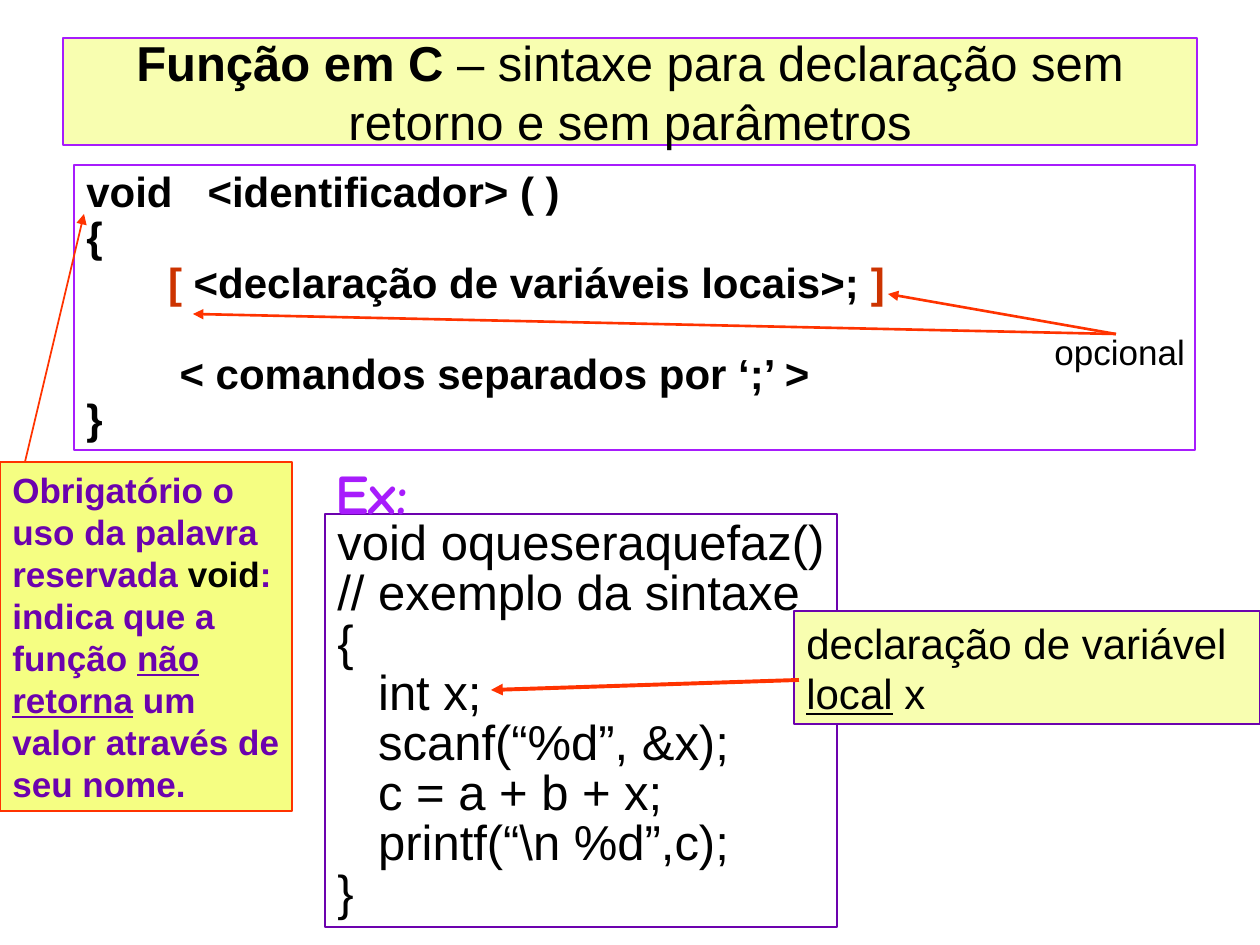
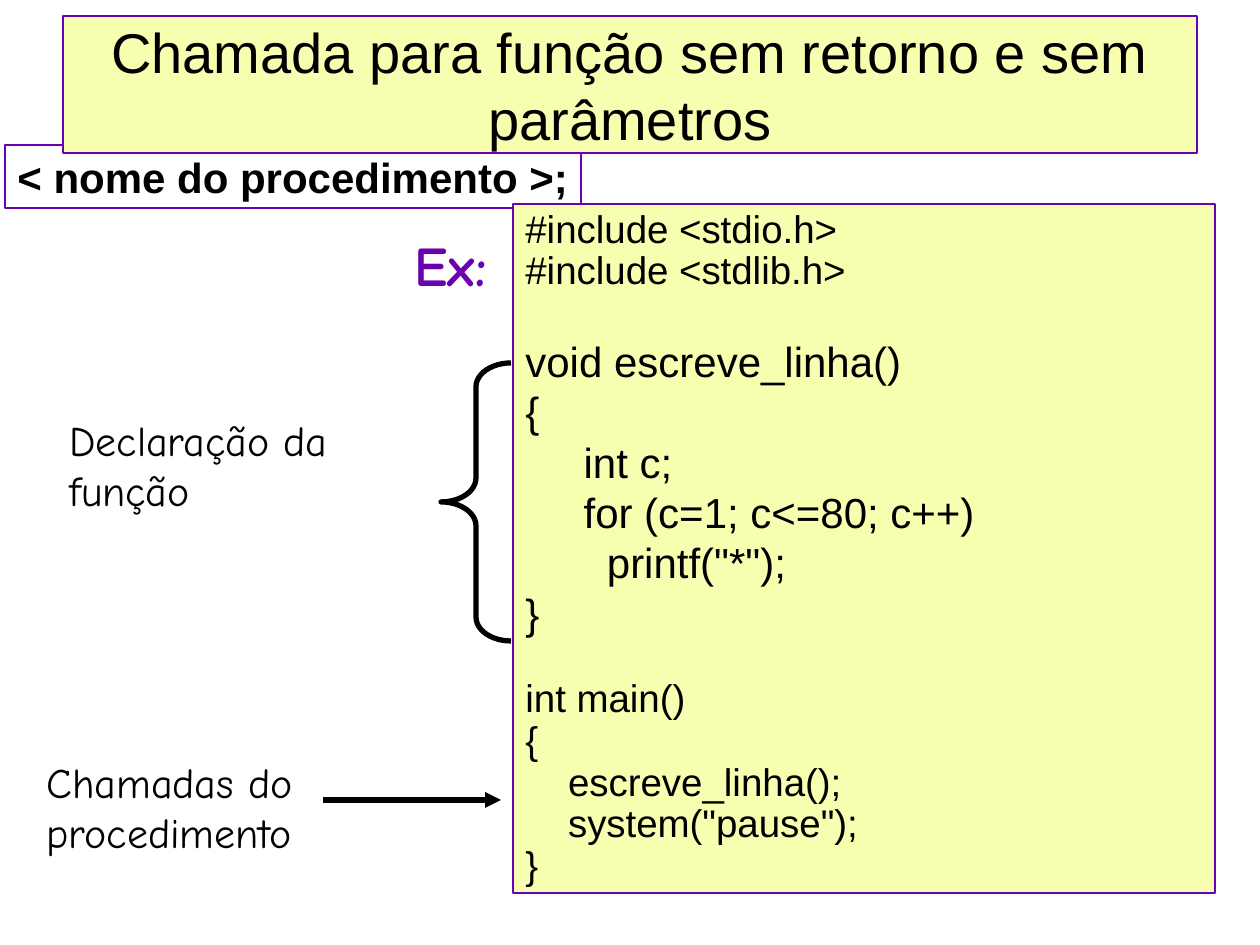
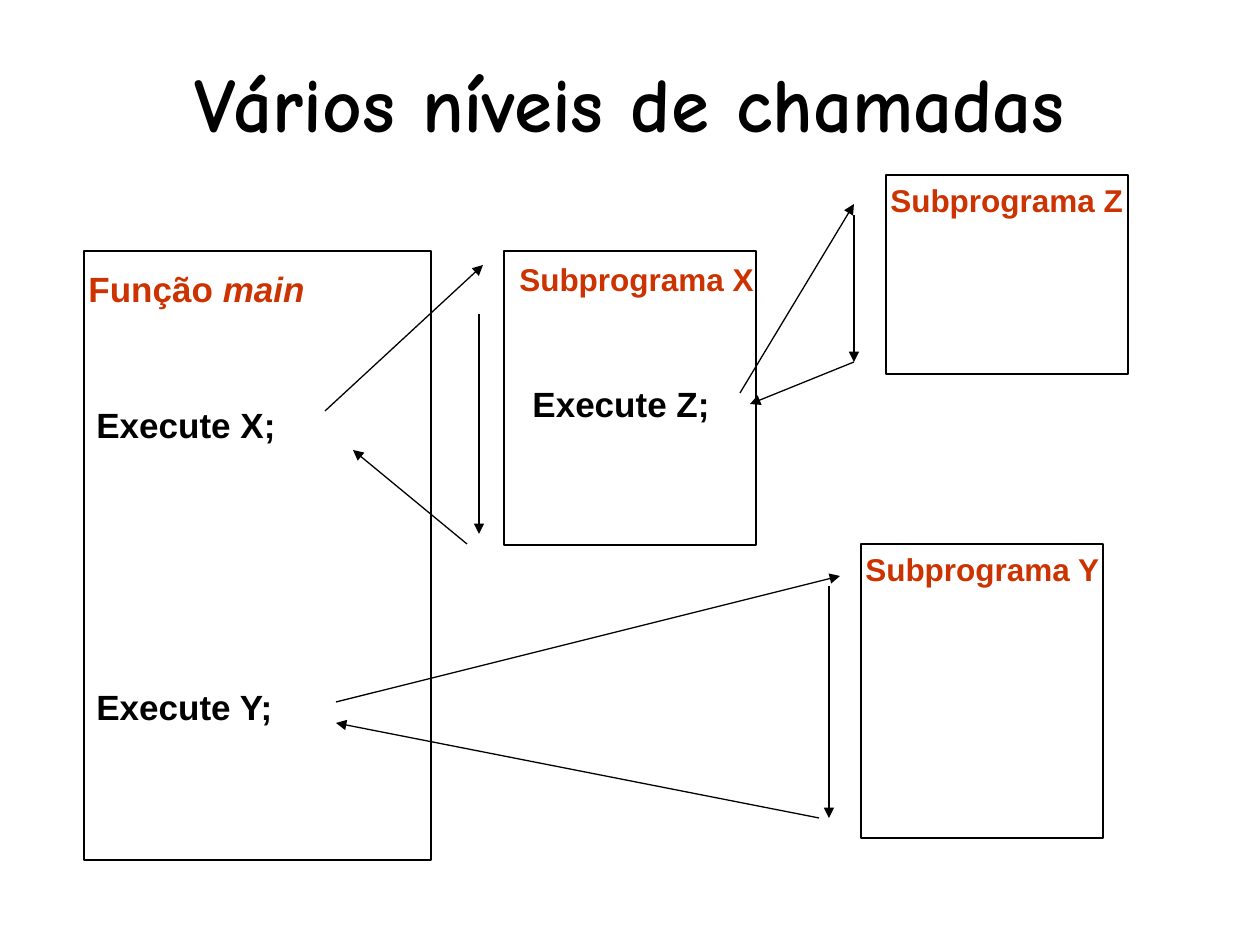
from dataclasses import dataclass
from typing import NamedTuple

from lxml.etree import SubElement
from pptx import Presentation
from pptx.dml.color import RGBColor
from pptx.enum.shapes import MSO_CONNECTOR, MSO_SHAPE
from pptx.enum.text import MSO_ANCHOR, MSO_AUTO_SIZE, PP_ALIGN
from pptx.oxml.ns import qn
from pptx.shapes.base import BaseShape
from pptx.slide import Slide
from pptx.text.text import TextFrame
from pptx.util import Emu, Pt

SCALE = 914400 / 126  # EMU in one px
BLACK, WHITE = "000000", "FFFFFF"
PURPLE, VIOLET = "6C02AE", "A71CFC"
RED, RUST = "FF3300", "CC3300"
CREAM, YELLOW = "F8FEB0", "F5FE82"
SANS, COMIC = "Arial", "Comic Neue"


class Box(NamedTuple):
    x: int
    y: int
    w: int
    h: int


class Run(NamedTuple):
    text: str
    color: str | None = None
    bold: bool | None = None
    italic: bool = False
    under: bool = False


class Arrow(NamedTuple):
    x1: int
    y1: int
    x2: int
    y2: int


@dataclass
class Label:
    box: Box
    runs: list[Run]
    size: int = 20
    color: str = BLACK


Line = str | list[Run]


def px(num: int) -> Emu:
    return Emu(round(num * SCALE))


def rgb(code: str) -> RGBColor:
    return RGBColor.from_string(code)


def write(frame: TextFrame, lines: list[Line], *, size: int = 24,
          font: str = SANS, color: str = BLACK, bold: bool = False,
          align: PP_ALIGN = PP_ALIGN.LEFT, lead: float = 1.0,
          gap: int = 0) -> None:
    """Append lines to the frame, with a gap in points above the first."""
    for num, line in enumerate(lines):
        fresh = not frame.paragraphs[0].runs
        para = frame.paragraphs[0] if fresh else frame.add_paragraph()
        para.alignment, para.line_spacing = align, lead
        if gap and num == 0:
            para.space_before = Pt(gap)
        for item in [Run(line)] if isinstance(line, str) else line:
            run = para.add_run()
            run.text = item.text
            face = run.font
            face.name, face.size = font, Pt(size)
            face.bold = bold if item.bold is None else item.bold
            face.italic, face.underline = item.italic, item.under
            face.color.rgb = rgb(item.color or color)


def text(slide: Slide, box: Box) -> TextFrame:
    return fit(slide.shapes.add_textbox(*map(px, box)).text_frame)


def fit(frame: TextFrame, wrap: bool = True) -> TextFrame:
    frame.word_wrap = wrap
    frame.auto_size = MSO_AUTO_SIZE.SHAPE_TO_FIT_TEXT
    frame.vertical_anchor = MSO_ANCHOR.TOP
    return frame


def panel(slide: Slide, box: Box, fill: str = WHITE,
          edge: str = BLACK) -> BaseShape:
    shape = slide.shapes.add_shape(MSO_SHAPE.RECTANGLE, *map(px, box))
    shape.shadow.inherit = False
    shape.fill.solid()
    shape.fill.fore_color.rgb = rgb(fill)
    shape.line.color.rgb = rgb(edge)
    shape.line.width = Pt(0.75)
    return shape


def title(slide: Slide, box: Box, line: Line, size: int, edge: str) -> None:
    frame = panel(slide, box, CREAM, edge).text_frame
    frame.word_wrap, frame.vertical_anchor = True, MSO_ANCHOR.MIDDLE
    write(frame, [line], size=size, align=PP_ALIGN.CENTER)


def sample(slide: Slide, x: int, y: int, color: str) -> None:
    """Put the "Ex:" mark beside a block of code."""
    frame = text(slide, Box(x, y, 110, 81))
    write(frame, ["Ex:"], size=32, font=COMIC, color=color, bold=True)


def point(slide: Slide, arrow: Arrow, color: str = BLACK,
          width: float = 0.75) -> None:
    link = slide.shapes.add_connector(MSO_CONNECTOR.STRAIGHT, *map(px, arrow))
    link.line.color.rgb = rgb(color)
    link.line.width = Pt(width)
    SubElement(link.line._get_or_add_ln(), qn("a:tailEnd"), type="triangle")
    SubElement(link._element.spPr, qn("a:effectLst"))


def syntax(slide: Slide) -> None:
    rule = fit(panel(slide, Box(74, 165, 1121, 285), edge=VIOLET).text_frame)
    write(rule, [
        "void   <identificador> ( )",
        "{",
        [Run("       "), Run("[", RUST),
         Run(" <declaração de variáveis locais>; "), Run("]", RUST)],
    ], bold=True, lead=0.9)
    write(rule, ["        < comandos separados por ‘;’ >", "}"],
          bold=True, lead=0.9, gap=26)

    code = panel(slide, Box(325, 514, 512, 413), edge=PURPLE)
    write(fit(code.text_frame, wrap=False), [
        "void oqueseraquefaz()",
        "// exemplo da sintaxe",
        "{",
        "   int x;",
        "   scanf(“%d”, &x);",
        "   c = a + b + x;",
        "   printf(“\\n %d”,c);",
        "}",
    ], size=28, lead=0.85)
    sample(slide, 323, 452, VIOLET)
    title(slide, Box(63, 38, 1134, 107), [
        Run("Função em C", bold=True),
        Run(" – sintaxe para declaração sem retorno e sem parâmetros"),
    ], 28, VIOLET)

    write(text(slide, Box(1042, 324, 218, 55)), ["opcional"], size=20)
    local = panel(slide, Box(794, 611, 466, 113), CREAM, PURPLE)
    write(fit(local.text_frame), [[
        Run("declaração de variável "), Run("local", under=True), Run(" x"),
    ]])
    note = panel(slide, Box(0, 462, 292, 349), YELLOW, RED)
    write(fit(note.text_frame), [[
        Run("Obrigatório o uso da palavra reservada "),
        Run("void", BLACK),
        Run(": indica que a função "),
        Run("não", under=True),
        Run(" "),
        Run("retorna", under=True),
        Run(" um valor através de seu nome."),
    ]], size=20, color=PURPLE, bold=True)

    for arrow, width in (
        (Arrow(1116, 334, 193, 314), 1.5),
        (Arrow(1116, 334, 888, 294), 1.5),
        (Arrow(799, 680, 491, 690), 2.25),
        (Arrow(25, 462, 84, 214), 1),
    ):
        point(slide, arrow, RED, width)


def call(slide: Slide) -> None:
    form = panel(slide, Box(5, 145, 576, 63), edge=PURPLE)
    write(fit(form.text_frame, wrap=False), ["< nome do procedimento >;"],
          bold=True)

    code = fit(panel(slide, Box(513, 204, 702, 689), CREAM, PURPLE).text_frame)
    write(code, ["#include <stdio.h>", "#include <stdlib.h>"],
          size=22, lead=0.9)
    write(code, [
        "void escreve_linha()",
        "{",
        "     int c;",
        "     for (c=1; c<=80; c++)",
        "       printf(\"*\");",
        "}",
    ], gap=24)
    write(code, [
        "int main()",
        "{",
        "    escreve_linha();",
        "    system(\"pause\");",
        "}",
    ], size=22, lead=0.9, gap=24)

    sample(slide, 402, 224, PURPLE)
    for x, y, words in ((34, 750, "Chamadas do procedimento"),
                        (57, 408, "Declaração da função")):
        write(text(slide, Box(x, y, 325, 113)), [words], font=COMIC)
    point(slide, Arrow(323, 800, 501, 800), width=3)

    brace = slide.shapes.add_shape(MSO_SHAPE.LEFT_BRACE,
                                   *map(px, Box(441, 363, 70, 278)))
    brace.shadow.inherit = False
    brace.fill.background()
    brace.line.color.rgb = rgb(BLACK)
    brace.line.width = Pt(3)
    brace.adjustments[0] = 0.34
    title(slide, Box(63, 16, 1134, 137),
          "Chamada para função sem retorno e sem parâmetros", 32, PURPLE)


def levels(slide: Slide) -> None:
    for box in (Box(84, 251, 347, 609), Box(504, 251, 252, 294),
                Box(861, 544, 242, 294), Box(886, 175, 242, 199)):
        panel(slide, box)

    labels = [Label(Box(76, 261, 260, 55),
                    [Run("Função "), Run("main", italic=True)], color=RUST)]
    for name, x, y in (("X", 507, 254), ("Y", 853, 544), ("Z", 878, 175)):
        labels.append(Label(Box(x, y, 275, 50),
                            [Run(f"Subprograma {name}")], 18, RUST))
    for name, x, y in (("X", 84, 397), ("Y", 84, 679), ("Z", 520, 376)):
        labels.append(Label(Box(x, y, 220, 55), [Run(f"Execute {name};")]))
    for item in labels:
        write(text(slide, item.box), [item.runs],
              size=item.size, color=item.color, bold=True)

    for arrow in (
        Arrow(325, 411, 483, 265), Arrow(479, 314, 479, 534),
        Arrow(467, 544, 353, 450),
        Arrow(336, 702, 840, 576), Arrow(829, 586, 829, 818),
        Arrow(819, 818, 336, 723),
        Arrow(740, 393, 854, 204), Arrow(854, 215, 854, 362),
        Arrow(854, 362, 750, 404),
    ):
        point(slide, arrow)

    head = text(slide, Box(63, 38, 1134, 127))
    head.auto_size = MSO_AUTO_SIZE.NONE
    head.vertical_anchor = MSO_ANCHOR.MIDDLE
    write(head, ["Vários níveis de chamadas"], size=44, font=COMIC,
          bold=True, align=PP_ALIGN.CENTER)


def main() -> None:
    deck = Presentation()
    deck.slide_width, deck.slide_height = px(1260), px(945)
    blank = deck.slide_layouts[6]
    for build in (syntax, call, levels):
        build(deck.slides.add_slide(blank))
    deck.save("out.pptx")


if __name__ == "__main__":
    main()
